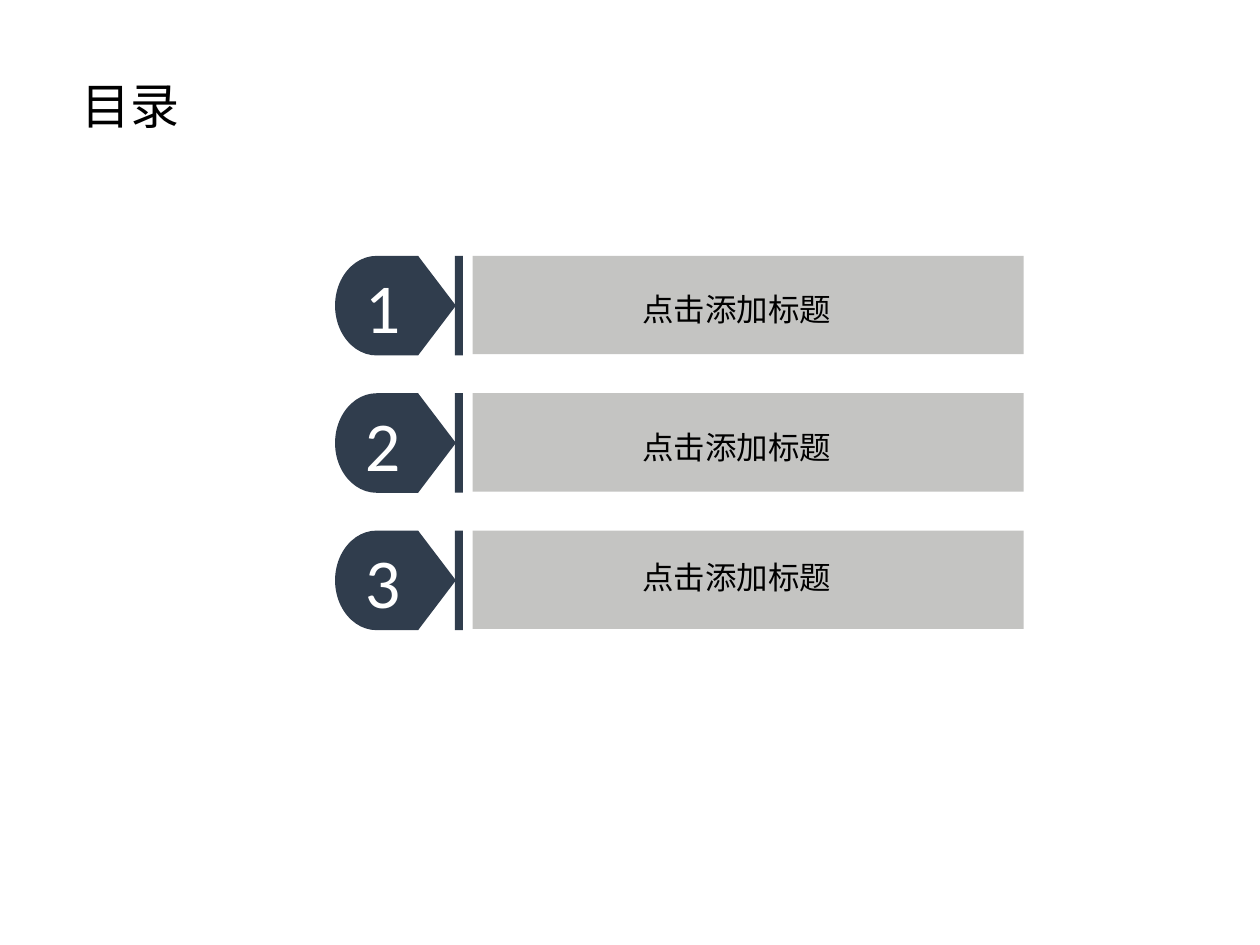
from dataclasses import dataclass

from lxml import etree
from pptx import Presentation
from pptx.dml.color import RGBColor
from pptx.enum.shapes import MSO_SHAPE
from pptx.enum.text import MSO_ANCHOR, MSO_AUTO_SIZE, PP_ALIGN
from pptx.oxml.ns import qn
from pptx.util import Pt

RECT = MSO_SHAPE.RECTANGLE
DELAY = MSO_SHAPE.FLOWCHART_DELAY
TRIANGLE = MSO_SHAPE.ISOSCELES_TRIANGLE
MIDDLE = MSO_ANCHOR.MIDDLE
LEFT, CENTER = PP_ALIGN.LEFT, PP_ALIGN.CENTER
FIT_SHAPE = MSO_AUTO_SIZE.SHAPE_TO_FIT_TEXT

NAVY = RGBColor(0x30, 0x3D, 0x4D)
GREY = RGBColor(0xC4, 0xC4, 0xC2)
WHITE = RGBColor(0xFF, 0xFF, 0xFF)
BLACK = RGBColor(0, 0, 0)

CJK = "Noto Sans CJK SC"
TITLE_FONT = {"size": Pt(28), "name": CJK}
LABEL_FONT = {"size": Pt(18), "name": CJK}
NUMBER_FONT = {"size": Pt(40), "name": "Calibri"}

# Row geometry in points
FIRST_TOP, PITCH = 146.2, 78.5
MARK_H, BAR_H = 56.9, 56.2
BADGE_X, BADGE_W = 191.5, 47.5
POINT_X, POINT_W = 238.9, 21.6
RULE_X, RULE_W = 260, 4.5
BAR_X, BAR_W = 270, 315
LABEL_X, LABEL_W, LABEL_H = 360, 123.8, 28.8


@dataclass
class Entry:
    number: str
    label: str
    label_top: float


ENTRIES = [
    Entry("1", "点击添加标题", 162),
    Entry("2", "点击添加标题", 241.2),
    Entry("3", "点击添加标题", 315.4),
]


def write(tf, text: str, font: dict, color: RGBColor, align) -> None:
    p = tf.paragraphs[0]
    p.alignment = align
    r = p.add_run()
    r.text = text
    r.font.color.rgb = color
    for key, value in font.items():
        setattr(r.font, key, value)
    # East Asian glyphs take their own typeface
    ea = etree.SubElement(r.font._element, qn("a:ea"))
    ea.set("typeface", font["name"])


def add_block(shapes, kind, x: float, y: float, w: float, h: float,
              color: RGBColor):
    sp = shapes.add_shape(kind, Pt(x), Pt(y), Pt(w), Pt(h))
    sp.shadow.inherit = False
    sp.fill.solid()
    sp.fill.fore_color.rgb = color
    sp.line.fill.background()
    return sp


def add_marker(s, number: str, top: float) -> None:
    """Numbered badge with its arrow tip and vertical rule, grouped."""
    group = s.shapes.add_group_shape().shapes
    add_block(group, RECT, RULE_X, top, RULE_W, MARK_H, NAVY)

    badge = add_block(group, DELAY, BADGE_X, top, BADGE_W, MARK_H, NAVY)
    badge._element.spPr.xfrm.set("flipH", "1")
    badge.text_frame.vertical_anchor = MIDDLE
    write(badge.text_frame, number, NUMBER_FONT, WHITE, CENTER)

    # The triangle is turned, so its box is swapped around its centre
    shift = (MARK_H - POINT_W) / 2
    tip = add_block(group, TRIANGLE, POINT_X - shift, top + shift,
                    MARK_H, POINT_W, NAVY)
    tip.rotation = 90


def add_label(s, text: str, top: float) -> None:
    sp = s.shapes.add_textbox(Pt(LABEL_X), Pt(top), Pt(LABEL_W), Pt(LABEL_H))
    tf = sp.text_frame
    tf.word_wrap = False
    tf.auto_size = FIT_SHAPE
    write(tf, text, LABEL_FONT, BLACK, LEFT)


def main() -> None:
    prs = Presentation()
    prs.slide_width, prs.slide_height = Pt(720), Pt(540)
    s = prs.slides.add_slide(prs.slide_layouts[5])

    # Title
    title = s.shapes.title
    title.left, title.top = Pt(39.6), Pt(39.6)
    title.width, title.height = Pt(78.5), Pt(41)
    title.text_frame.vertical_anchor = MIDDLE
    write(title.text_frame, "目录", TITLE_FONT, BLACK, LEFT)

    # Contents rows
    for i, entry in enumerate(ENTRIES):
        top = FIRST_TOP + i * PITCH
        add_marker(s, entry.number, top)
        add_block(s.shapes, RECT, BAR_X, top, BAR_W, BAR_H, GREY)
        add_label(s, entry.label, entry.label_top)

    prs.save("out.pptx")


if __name__ == "__main__":
    main()
